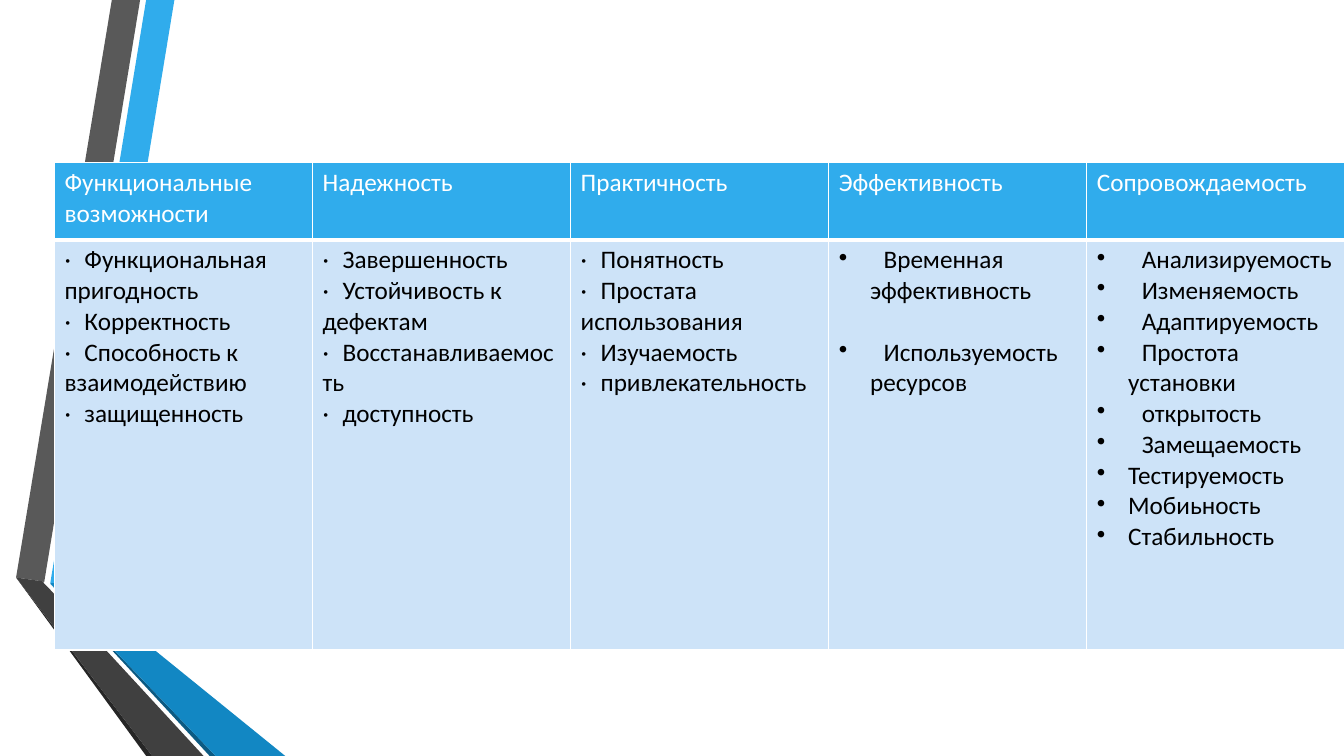
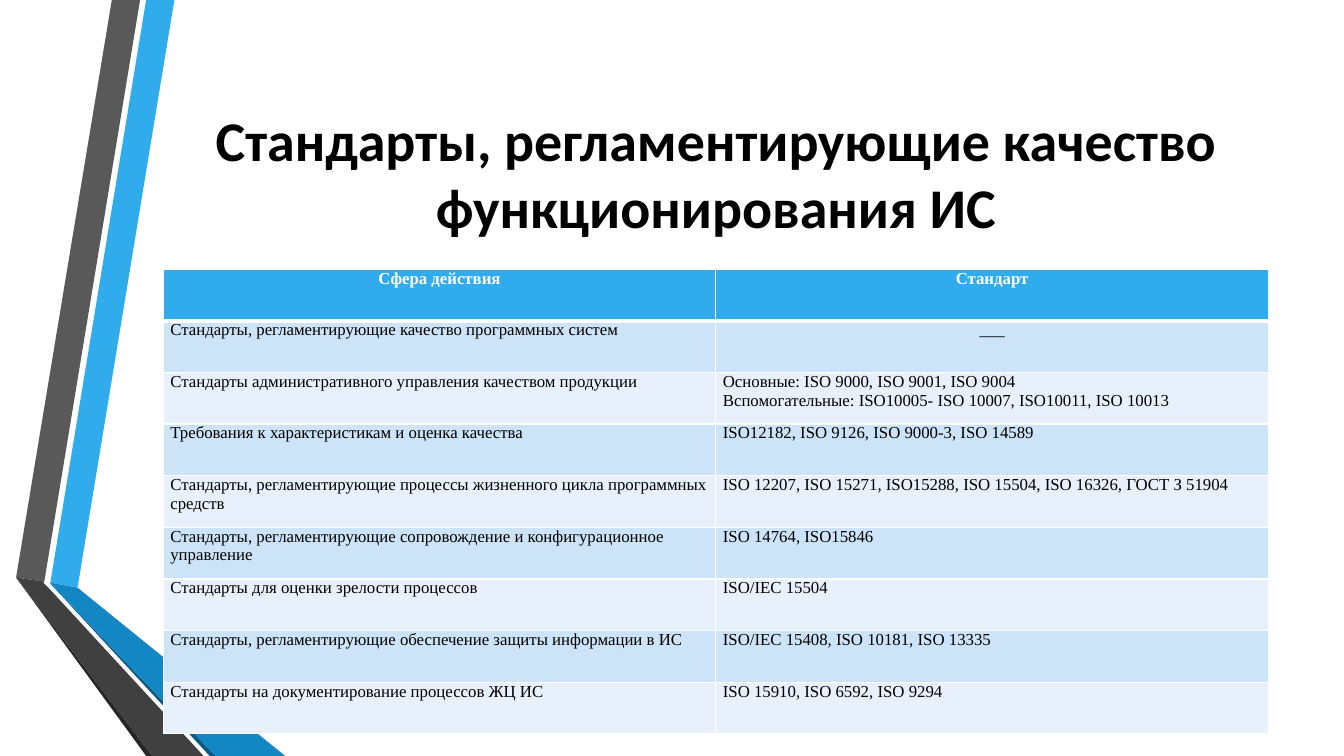
from lxml.etree import SubElement
from pptx import Presentation
from pptx.dml.color import RGBColor
from pptx.enum.text import MSO_ANCHOR, MSO_AUTO_SIZE, PP_ALIGN
from pptx.oxml.ns import qn
from pptx.util import Inches, Pt

BLUE, PALE, PALER = "30ACEC", "CDE3F8", "E8F1FB"
WHITE, BLACK = "FFFFFF", "000000"
SANS, SERIF = "Calibri", "Times New Roman"
GAP = "\u2007"
DOT = "·" + GAP

BANDS = [
    (BLUE, [(0.5, 5.78), (0.77, 5.83), (1.73, 0), (1.45, 0)]),
    ("595959", [(1.39, 0), (1.11, 0), (0.16, 5.73), (0.44, 5.77)]),
    ("262626", [(0.16, 5.73), (1.45, 7.5), (1.51, 7.5)]),
    ("0C5A82", [(0.5, 5.79), (2.08, 7.5), (2.14, 7.5)]),
    ("1287C3", [(0.5, 5.79), (2.14, 7.5), (2.83, 7.5), (0.77, 5.83), (0.5, 5.78)]),
    ("404040", [(2.02, 7.5), (0.48, 5.83), (0.43, 5.78), (0.44, 5.77),
                (0.16, 5.73), (1.51, 7.5)]),
]

DOTTED_QUALITIES = [
    ("Функциональные возможности",
     ["Функциональная пригодность", "Корректность",
      "Способность к взаимодействию", "защищенность"]),
    ("Надежность",
     ["Завершенность", "Устойчивость к дефектам",
      "Восстанавливаемость", "доступность"]),
    ("Практичность",
     ["Понятность", "Простата использования",
      "Изучаемость", "привлекательность"]),
]
EFFICIENCY = ["Временная эффективность", "Используемость ресурсов"]
MAINTENANCE = ["Анализируемость", "Изменяемость", "Адаптируемость",
               "Простота установки", "открытость", "Замещаемость"]
MAINTENANCE_FLUSH = ["Тестируемость", "Мобиьность", "Стабильность"]

STANDARDS = [
    ("Стандарты, регламентирующие качество программных систем", ["___"]),
    ("Стандарты административного управления качеством продукции",
     ["Основные: ISO 9000, ISO 9001, ISO 9004",
      "Вспомогательные: ISO10005- ISO 10007, ISO10011, ISO 10013"]),
    ("Требования к характеристикам и оценка качества",
     ["ISO12182, ISO 9126, ISO 9000-3, ISO 14589"]),
    ("Стандарты, регламентирующие процессы жизненного цикла программных средств",
     ["ISO 12207, ISO 15271, ISO15288, ISO 15504, ISO 16326, ГОСТ З 51904"]),
    ("Стандарты, регламентирующие сопровождение и конфигурационное управление",
     ["ISO 14764, ISO15846"]),
    ("Стандарты для оценки зрелости процессов", ["ISO/IEC 15504"]),
    ("Стандарты, регламентирующие обеспечение защиты информации в ИС",
     ["ISO/IEC 15408, ISO 10181, ISO 13335"]),
    ("Стандарты на документирование процессов ЖЦ ИС",
     ["ISO 15910, ISO 6592, ISO 9294"]),
]


def rgb(color):
    return RGBColor.from_string(color)


def add_run(p, text, size, font, color, bold=False):
    r = p.add_run()
    r.text = text
    r.font.size = Pt(size)
    r.font.name = font
    r.font.bold = bold
    r.font.color.rgb = rgb(color)


def add_bands(prs, slide):
    tree = prs.slide_master.shapes._spTree
    for place, (color, points) in enumerate(BANDS, 2):
        corners = [(Inches(x), Inches(y)) for x, y in points]
        builder = slide.shapes.build_freeform(*corners[0], scale=1.0)
        builder.add_line_segments(corners[1:], close=True)
        sp = builder.convert_to_shape()
        sp.shadow.inherit = False
        sp.fill.solid()
        sp.fill.fore_color.rgb = rgb(color)
        sp.line.fill.background()
        tree.insert(place, sp._element)


def set_borders(cell, top, bottom):
    tcPr = cell._tc.get_or_add_tcPr()
    for side, width in (("L", 1), ("R", 1), ("T", top), ("B", bottom)):
        ln = SubElement(tcPr, qn("a:ln" + side), w=str(Pt(width)))
        fill = SubElement(ln, qn("a:solidFill"))
        SubElement(fill, qn("a:srgbClr"), val=WHITE)


def set_bullet(p):
    pPr = p._p.get_or_add_pPr()
    pPr.set("marL", str(Inches(0.31)))
    pPr.set("indent", str(-Inches(0.31)))
    SubElement(pPr, qn("a:buChar"), char="•")


def add_table(slide, left, top, widths, heights, rows, size, font, bold_head):
    frame = slide.shapes.add_table(len(rows), len(widths), Inches(left), Inches(top),
                                   Inches(sum(widths)), Inches(sum(heights)))
    table = frame.table
    for column, width in zip(table.columns, widths):
        column.width = Inches(width)
    for i, (row, height) in enumerate(zip(rows, heights)):
        table.rows[i].height = Inches(height)
        head = i == 0
        fill = BLUE if head else (PALE if i % 2 else PALER)
        for cell, lines in zip(table.rows[i].cells, row):
            set_borders(cell, 3 if i == 1 else 1, 3 if head else 1)
            cell.fill.solid()
            cell.fill.fore_color.rgb = rgb(fill)
            tf = cell.text_frame
            for n, line in enumerate(lines):
                p = tf.add_paragraph() if n else tf.paragraphs[0]
                add_run(p, line, size, font, WHITE if head else BLACK,
                        head and bold_head)
    return table


def add_title(slide, text):
    sp = slide.shapes.title
    sp.left, sp.top, sp.width, sp.height = map(Inches, (1.62, 0.75, 10.96, 1.92))
    tf = sp.text_frame
    tf.auto_size = MSO_AUTO_SIZE.NONE
    tf.word_wrap = True
    tf.vertical_anchor = MSO_ANCHOR.MIDDLE
    p = tf.paragraphs[0]
    p.alignment = PP_ALIGN.CENTER
    add_run(p, text, 40, SANS, BLACK, True)


def build_qualities(slide):
    heads = [[name] for name, _ in DOTTED_QUALITIES]
    heads += [["Эффективность"], ["Сопровождаемость"]]
    lists = [[DOT + item for item in items] for _, items in DOTTED_QUALITIES]
    lists.append([GAP + item for item in EFFICIENCY])
    lists.append([GAP + item for item in MAINTENANCE] + MAINTENANCE_FLUSH)
    table = add_table(slide, 0.54, 1.61, [2.56] * 5, [0.77, 4.07],
                      [heads, lists], 18, SANS, False)
    efficiency = table.cell(1, 3).text_frame.paragraphs
    efficiency[1].space_before = Pt(22)
    for p in efficiency + table.cell(1, 4).text_frame.paragraphs:
        set_bullet(p)


def build_standards(slide):
    add_title(slide, "Стандарты, регламентирующие качество функционирования ИС")
    rows = [[["Сфера действия"], ["Стандарт"]]]
    rows += [[[scope], standards] for scope, standards in STANDARDS]
    table = add_table(slide, 1.62, 2.67, [5.48] * 2, [4.61 / len(rows)] * len(rows),
                      rows, 12, SERIF, True)
    for cell in table.iter_cells():
        cell.margin_left = cell.margin_right = Inches(0.07)
        cell.margin_top = cell.margin_bottom = 0
    for row, column in ((0, 0), (0, 1), (1, 1)):
        table.cell(row, column).text_frame.paragraphs[0].alignment = PP_ALIGN.CENTER


def main():
    prs = Presentation()
    prs.slide_width, prs.slide_height = Inches(13.33), Inches(7.5)
    qualities = prs.slides.add_slide(prs.slide_layouts[6])
    add_bands(prs, qualities)
    build_qualities(qualities)
    build_standards(prs.slides.add_slide(prs.slide_layouts[5]))
    prs.save("out.pptx")


main()
